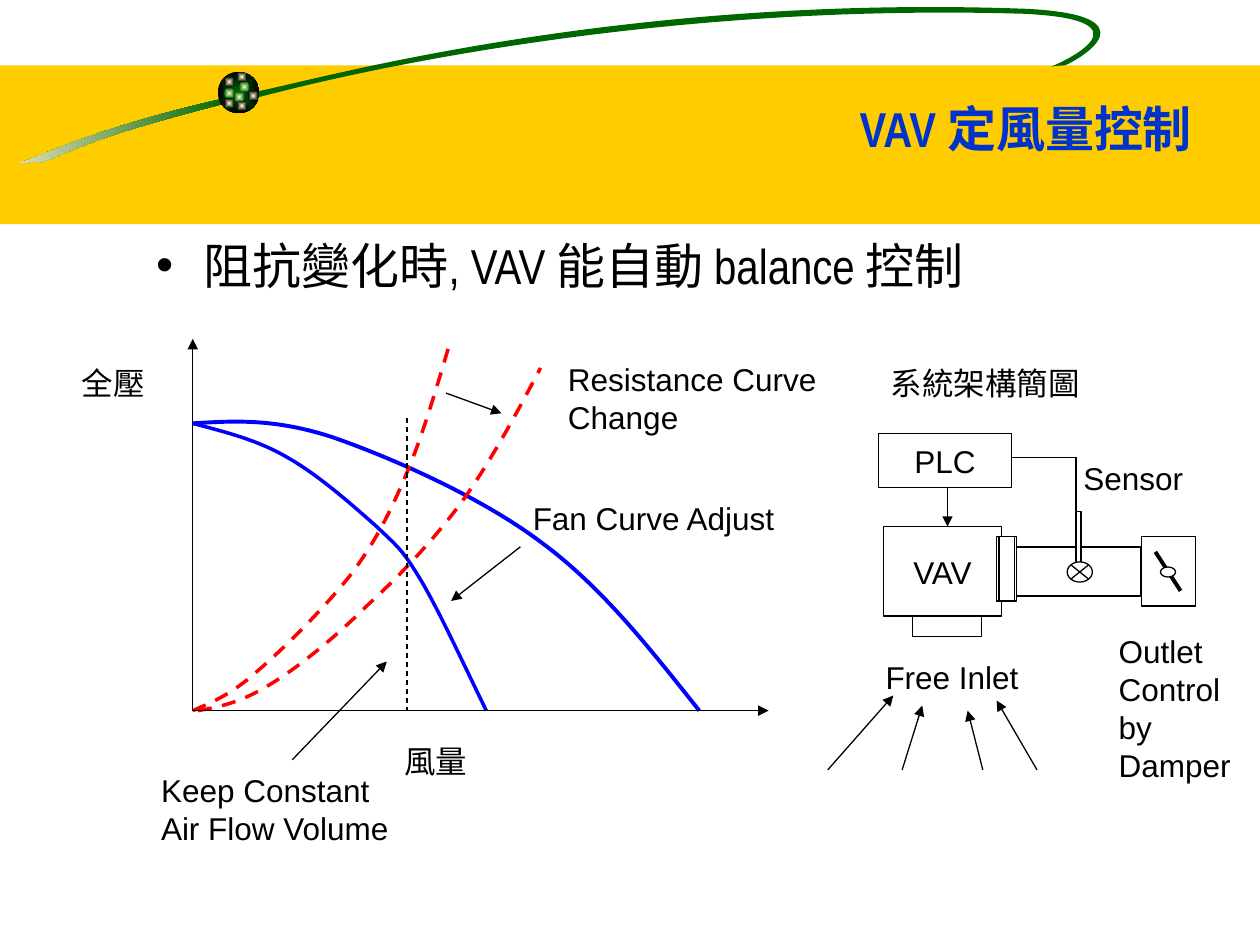
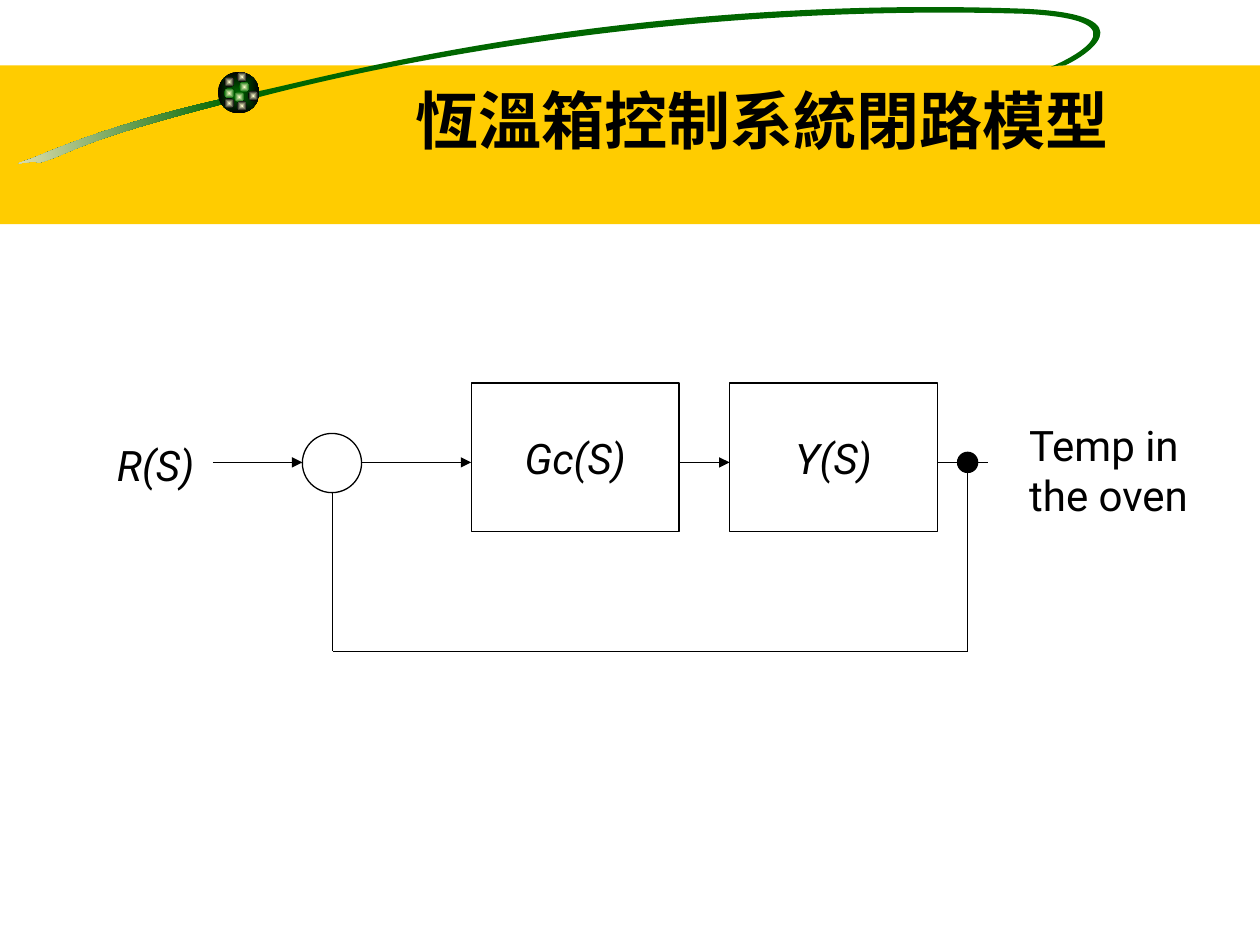
from math import cos, radians, sin

from lxml import etree
from pptx import Presentation
from pptx.dml.color import RGBColor
from pptx.enum.dml import MSO_LINE
from pptx.enum.shapes import MSO_CONNECTOR, MSO_SHAPE
from pptx.enum.text import MSO_ANCHOR, MSO_AUTO_SIZE, PP_ALIGN
from pptx.oxml.ns import qn
from pptx.util import Inches, Pt

RECT, OVAL = MSO_SHAPE.RECTANGLE, MSO_SHAPE.OVAL
COLLAR = MSO_SHAPE.FLOWCHART_PREDEFINED_PROCESS
CROSS = MSO_SHAPE.FLOWCHART_SUMMING_JUNCTION
STRAIGHT, DASH = MSO_CONNECTOR.STRAIGHT, MSO_LINE.DASH
CENTER, RIGHT = PP_ALIGN.CENTER, PP_ALIGN.RIGHT
MIDDLE, BOTTOM = MSO_ANCHOR.MIDDLE, MSO_ANCHOR.BOTTOM
TILT = 8.5  # degrees by which the swoosh leans

HEX = {"black": "000000", "white": "FFFFFF", "gold": "FFCC00",
       "green": "006600", "cream": "FFFFCC", "sand": "F5EBC1",
       "title": "0033CC", "blue": "0000FF", "red": "FF0000"}
RGB = {name: RGBColor.from_string(code) for name, code in HEX.items()}

prs = Presentation()
prs.slide_width, prs.slide_height = Inches(10), Inches(7.5)
COL, ROW = prs.slide_width / 10, prs.slide_height / 7.5  # 10 x 7.5 grid
layout = prs.slide_layouts[5]
fan, oven = [prs.slides.add_slide(layout) for _ in range(2)]


def box(slide, kind, x, y, w, h, text="", fill="white", edge="black",
        size=18, font="Arial", italic=False):
    """Add a shape, or a plain text box when kind is None."""
    place = [round(v) for v in (x * COL, y * ROW, w * COL, h * ROW)]
    if kind is None:
        shape = slide.shapes.add_textbox(*place)
        shape.text_frame.word_wrap = True
    else:
        shape = slide.shapes.add_shape(kind, *place)
        shape.shadow.inherit = False
        if isinstance(fill, tuple):  # gradient from the centre outwards
            shape.fill.gradient()
            for stop, name in zip(shape.fill.gradient_stops, fill):
                stop.color.rgb = RGB[name]
            grad = shape._element.spPr.find(qn("a:gradFill"))
            grad.remove(grad.find(qn("a:lin")))
            way = etree.SubElement(grad, qn("a:path"), path="rect")
            etree.SubElement(way, qn("a:fillToRect"), l="50000", t="50000",
                             r="50000", b="50000")
        else:
            shape.fill.solid()
            shape.fill.fore_color.rgb = RGB[fill]
        if edge:
            shape.line.color.rgb = RGB[edge]
            shape.line.width = Pt(0.75)
        else:
            shape.line.fill.background()
    if text:
        frame = shape.text_frame
        frame.text = text
        para = frame.paragraphs[0]
        para.font.size, para.font.name = Pt(size), font
        para.font.italic = italic
        para.font.color.rgb = RGB["black"]
        if kind is not None:
            frame.word_wrap = False
            frame.vertical_anchor = MIDDLE
            para.alignment = CENTER
    return shape


def curve(knots, hub=None):
    """Join cubic curves; with a hub, close them and lean them about it."""
    if hub:
        (a, b), c, s = hub, cos(radians(TILT)), sin(radians(TILT))
        knots = [(a + (x - a) * c - (y - b) * s, b + (x - a) * s + (y - b) * c)
                 for x, y in knots]
    dots = [(round(x * COL), round(y * ROW)) for x, y in knots]
    pen = fan.shapes.build_freeform(*dots[0])
    pen.add_line_segments(dots[1:], close=bool(hub))
    shape = pen.convert_to_shape()
    shape.shadow.inherit = False
    if hub:
        shape.rotation = 360 - TILT
    # Each three straight steps become one cubic curve
    steps = list(shape._element.iter(qn("a:lnTo")))
    for i in range(0, len(steps), 3):
        bend = etree.Element(qn("a:cubicBezTo"))
        steps[i].addprevious(bend)
        for step in steps[i:i + 3]:
            bend.append(step[0])
            step.getparent().remove(step)
    return shape


# Shared band, swoosh, ball and pale strip, moved to the layout
box(fan, RECT, 0, 0.52, 10, 1.26, fill="gold", edge=None)
tail = curve([
    (1.78, 0.78), (0.91, 0.98), (0.49, 1.16), (0.25, 1.26),
    (0.01, 1.34), (0.26, 1.26), (0.31, 1.29),
    (0.57, 1.22), (0.57, 1.13), (1.79, 0.82),
    (1.79, 0.82), (1.78, 0.78), (1.78, 0.78)], hub=(0.89, 1.06))
tail.fill.gradient()
tail.fill.gradient_angle = 180
for stop, name in zip(tail.fill.gradient_stops, ("green", "sand")):
    stop.color.rgb = RGB[name]
loop = curve([
    (2.02, 0.73), (2.46, 0.65), (4.86, -0.05), (8.14, 0.07),
    (9.17, 0.12), (8.57, 0.47), (8.45, 0.52),
    (8.45, 0.52), (8.38, 0.52), (8.34, 0.53),
    (8.44, 0.49), (9.16, 0.16), (8.13, 0.11),
    (5.48, 0.03), (3.2, 0.47), (2.06, 0.77),
    (2.06, 0.77), (2.02, 0.73), (2.02, 0.73)], hub=(5.59, 0.4))
loop.fill.solid()
loop.fill.fore_color.rgb = RGB["green"]
for part in (tail, loop):
    part.line.fill.background()
box(fan, OVAL, 1.73, 0.57, 0.33, 0.33, fill=("green", "black"), edge=None)
for x, y, rim in [
        (1.9, 0.65, "green"), (1.78, 0.61, "black"), (1.78, 0.7, "green"),
        (1.86, 0.73, "green"), (1.97, 0.72, "black"), (1.88, 0.8, "black"),
        (1.78, 0.78, "black"), (1.88, 0.57, "black")]:
    box(fan, OVAL, x, y, 0.08, 0.08, fill=("cream", rim), edge=None)
strip = box(fan, RECT, 0.74, 2.06, 1.22, 5.44, edge=None)
tint = next(strip._element.iter(qn("a:srgbClr")))
etree.SubElement(tint, qn("a:alpha"), val="50000")
decor = [s for s in fan.shapes if not s.is_placeholder]
for i, part in enumerate(decor):
    layout.shapes._spTree.insert(2 + i, part._element)

# Titles
for slide, text, x, w, anchor, size, font, color in [
        (fan, "VAV 定風量控制", 0.35, 9.21, BOTTOM, 28, "Arial Narrow", "title"),
        (oven, "恆溫箱控制系統閉路模型", 0.83, 8.07, MIDDLE, 36, "Arial", "black")]:
    title = slide.shapes.title
    title.left, title.top = round(x * COL), round(0.6 * ROW)
    title.width, title.height = round(w * COL), round(0.7 * ROW)
    frame = title.text_frame
    frame.text = text
    frame.auto_size = MSO_AUTO_SIZE.NONE
    frame.vertical_anchor = anchor
    para = frame.paragraphs[0]
    para.alignment = RIGHT
    para.font.size, para.font.name, para.font.bold = Pt(size), font, True
    para.font.color.rgb = RGB[color]

# Bullet line
lead = box(fan, None, 1.14, 1.82, 8.44, 0.62,
           "阻抗變化時, VAV 能自動 balance 控制", size=28, font="Arial Narrow")
props = lead.text_frame.paragraphs[0]._p.get_or_add_pPr()
props.set("marL", str(Inches(0.38)))
props.set("indent", str(-Inches(0.38)))
etree.SubElement(props, qn("a:buFont"), typeface="Arial")
etree.SubElement(props, qn("a:buChar"), char="•")

# Fan curves and resistance curves
for color, width, knots in [
        ("blue", 2.25, [
            (1.53, 3.36), (1.86, 3.34), (2.18, 3.32), (2.64, 3.47),
            (3.1, 3.63), (3.81, 3.94), (4.29, 4.3),
            (4.78, 4.66), (5.16, 5.15), (5.55, 5.64)]),
        ("red", 2, [
            (1.53, 5.64), (1.69, 5.57), (1.84, 5.51), (2.05, 5.32),
            (2.26, 5.14), (2.6, 4.8), (2.8, 4.54),
            (2.99, 4.28), (3.1, 4.06), (3.23, 3.75),
            (3.36, 3.44), (3.47, 3.06), (3.58, 2.69)]),
        ("red", 2, [
            (1.57, 5.64), (1.74, 5.61), (1.9, 5.58), (2.13, 5.44),
            (2.35, 5.31), (2.66, 5.06), (2.91, 4.81),
            (3.17, 4.57), (3.43, 4.3), (3.66, 3.99),
            (3.89, 3.67), (4.09, 3.3), (4.29, 2.92)]),
        ("blue", 2, [
            (1.53, 3.36), (1.79, 3.43), (2.04, 3.49), (2.28, 3.63),
            (2.53, 3.77), (2.81, 4.02), (2.99, 4.18),
            (3.17, 4.35), (3.2, 4.37), (3.35, 4.62),
            (3.49, 4.86), (3.67, 5.25), (3.86, 5.64)])]:
    trace = curve(knots)
    trace.fill.background()
    trace.line.color.rgb = RGB[color]
    trace.line.width = Pt(width)
    if color == "red":
        trace.line.dash_style = DASH

# System sketch: controller, box, inlet, duct, collar, outlet, probe
for kind, x, y, w, h, text in [
        (RECT, 6.97, 3.44, 1.06, 0.43, "PLC"),
        (RECT, 7.01, 4.18, 0.94, 0.71, "VAV"),
        (RECT, 7.24, 4.89, 0.55, 0.16, ""),
        (RECT, 8.07, 4.34, 0.98, 0.39, ""),
        (COLLAR, 7.91, 4.26, 0.16, 0.51, ""),
        (RECT, 9.06, 4.26, 0.43, 0.55, ""),
        (RECT, 8.54, 4.06, 0.04, 0.43, ""),
        (CROSS, 8.47, 4.46, 0.2, 0.16, "")]:
    box(fan, kind, x, y, w, h, text)

# Control loop blocks
box(oven, OVAL, 2.4, 3.44, 0.47, 0.47)
for i, text in enumerate(["Gc(S)", "Y(S)"]):
    box(oven, RECT, 3.74 + i * 2.05, 3.04, 1.65, 1.18, text,
        size=24, font="Roboto", italic=True)

# Labels
for text, x, y, w, h in [
        ("風量", 3.11, 5.84, 0.98, 0.4),
        ("全壓", 0.55, 2.84, 0.98, 0.4),
        ("Fan Curve Adjust", 4.13, 3.91, 3.51, 0.4),
        ("Resistance Curve Change", 4.41, 2.81, 2.87, 0.7),
        ("Keep Constant Air Flow Volume", 1.18, 6.07, 2.13, 0.7),
        ("Free Inlet", 6.93, 5.17, 1.26, 0.4),
        ("系統架構簡圖", 6.97, 2.84, 2.24, 0.4),
        ("Outlet Control\vby\vDamper", 8.78, 4.97, 1.22, 1.76),
        ("Sensor", 8.5, 3.59, 1.06, 0.4)]:
    box(fan, None, x, y, w, h, text)
box(oven, None, 0.83, 3.44, 0.87, 0.5, "R(S)", size=24, font="Roboto",
    italic=True)
box(oven, None, 8.07, 3.28, 1.5, 1.3, "Temp in the oven", size=24,
    font="Roboto")

# Lines and arrows: style, start, end
for slide, style, x1, y1, x2, y2 in [
        (fan, "arrow", 1.53, 5.64, 1.53, 2.69),
        (fan, "arrow", 1.53, 5.64, 6.1, 5.64),
        (fan, "dash", 3.23, 3.32, 3.23, 5.64),
        (fan, "arrow", 4.13, 4.34, 3.58, 4.77),
        (fan, "arrow", 3.54, 3.12, 3.98, 3.28),
        (fan, "arrow", 2.32, 6.03, 3.07, 5.25),
        (fan, "arrow", 6.57, 6.11, 7.09, 5.52),
        (fan, "arrow", 7.16, 6.11, 7.32, 5.6),
        (fan, "arrow", 7.8, 6.11, 7.68, 5.64),
        (fan, "arrow", 8.23, 6.11, 7.91, 5.56),
        (fan, "arrow", 7.52, 3.87, 7.52, 4.18),
        (fan, "plain", 8.03, 3.63, 8.54, 3.63),
        (fan, "plain", 8.54, 4.06, 8.54, 3.63),
        (fan, "thick", 9.17, 4.38, 9.37, 4.69),
        (oven, "arrow", 1.69, 3.67, 2.4, 3.67),
        (oven, "arrow", 2.87, 3.67, 3.74, 3.67),
        (oven, "arrow", 5.39, 3.67, 5.79, 3.67),
        (oven, "plain", 7.44, 3.67, 7.84, 3.67),
        (oven, "plain", 7.68, 3.75, 7.68, 5.17),
        (oven, "plain", 7.68, 5.17, 2.64, 5.17),
        (oven, "plain", 2.64, 5.17, 2.64, 3.91)]:
    wire = slide.shapes.add_connector(
        STRAIGHT, round(x1 * COL), round(y1 * ROW),
        round(x2 * COL), round(y2 * ROW))
    wire.line.color.rgb = RGB["black"]
    wire.line.width = Pt(2.25 if style == "thick" else 0.75)
    if style == "dash":
        wire.line.dash_style = DASH
    props = wire._element.spPr
    if style == "arrow":
        etree.SubElement(props.find(qn("a:ln")), qn("a:tailEnd"),
                         type="triangle")
    etree.SubElement(props, qn("a:effectLst"))

# Damper pivot and branch dot lie over the lines
box(fan, OVAL, 9.21, 4.5, 0.12, 0.08)
box(oven, OVAL, 7.6, 3.59, 0.16, 0.16, fill="black")

prs.save("out.pptx")
